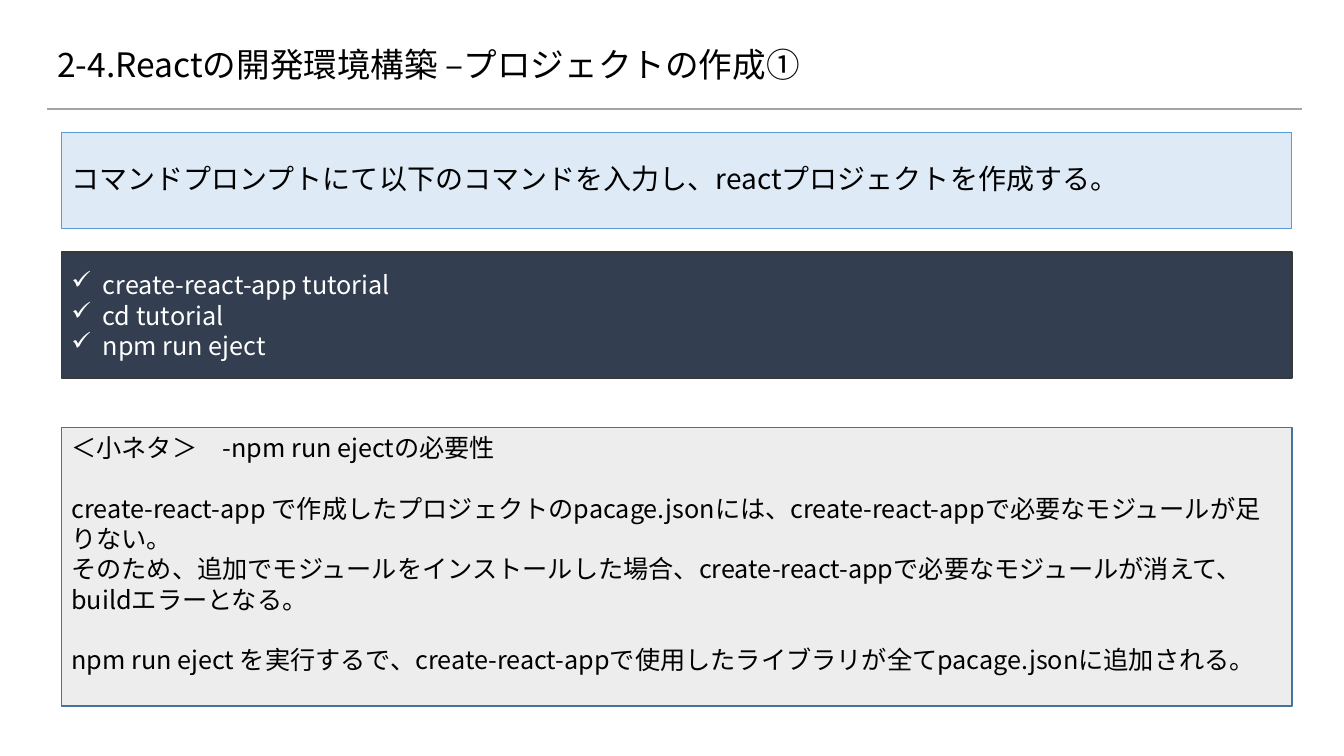
from dataclasses import dataclass

from lxml.etree import SubElement
from pptx import Presentation
from pptx.dml.color import RGBColor as Rgb
from pptx.enum.shapes import MSO_CONNECTOR as Link, MSO_SHAPE as Kind
from pptx.enum.text import MSO_ANCHOR as Anchor, MSO_AUTO_SIZE as Fit, PP_ALIGN as Align
from pptx.oxml.ns import qn
from pptx.util import Cm, Pt


@dataclass(frozen=True)
class Theme:
    """Colours, font and type sizes of the slide."""
    font: str = "Noto Sans CJK JP"
    ink: str = "000000"
    white: str = "FFFFFF"
    rule: str = "A5A5A5"
    lead: tuple = ("DEEBF7", "5B9BD5", 0.75)
    code: tuple = ("333F50", "3B3838", 1)
    note: tuple = ("EDEDED", "43739E", 1)
    head: int = 24
    large: int = 20
    body: int = 18
    gap: float = 21.6


class Page:
    """Draws the elements of one slide in a given theme."""

    def __init__(self, deck, theme):
        self.theme = theme
        self.slide = deck.slides.add_slide(deck.slide_layouts[5])

    def text(self, frame, lines, size, color, anchor, space=None, mark=None, gaps=()):
        frame.word_wrap = True
        frame.auto_size = Fit.NONE
        frame.vertical_anchor = anchor
        for i, line in enumerate(lines):
            para = frame.paragraphs[0] if i == 0 else frame.add_paragraph()
            para.text = line
            para.alignment = Align.LEFT
            para.space_before = Pt(self.theme.gap if i in gaps else 0)
            if space:
                para.line_spacing = space
            if mark:
                self.bullet(para, mark, color)
            font = para.font
            font.size, font.name = Pt(size), self.theme.font
            font.color.rgb = Rgb.from_string(color)
            base = para._p.pPr.find(qn("a:defRPr"))
            SubElement(base, qn("a:ea"), typeface=self.theme.font)

    def bullet(self, para, mark, color):
        props = para._p.get_or_add_pPr()
        props.set("marL", str(Cm(0.79)))
        props.set("indent", str(-Cm(0.79)))
        tint = SubElement(props, qn("a:buClr"))
        SubElement(tint, qn("a:srgbClr"), val=color)
        SubElement(props, qn("a:buChar"), char=mark)

    def title(self, text):
        head = self.slide.shapes.title
        head.left, head.top = Cm(1.19), Cm(0.94)
        head.width, head.height = Cm(29.21), Cm(1.5)
        self.text(head.text_frame, [text], self.theme.head, self.theme.ink,
                  Anchor.MIDDLE, space=0.9)

    def rule(self, left, right, top):
        line = self.slide.shapes.add_connector(
            Link.STRAIGHT, Cm(left), Cm(top), Cm(right), Cm(top))
        line.line.color.rgb = Rgb.from_string(self.theme.rule)
        line.line.width = Pt(1.5)
        SubElement(line._element.spPr, qn("a:effectLst"))

    def panel(self, top, height, look, lines, size, color, anchor, **style):
        fill, edge, width = look
        box = self.slide.shapes.add_shape(
            Kind.RECTANGLE, Cm(1.55), Cm(top), Cm(31.01), Cm(height))
        box.shadow.inherit = False
        box.fill.solid()
        box.fill.fore_color.rgb = Rgb.from_string(fill)
        box.line.color.rgb = Rgb.from_string(edge)
        box.line.width = Pt(width)
        self.text(box.text_frame, lines, size, color, anchor, **style)


def main():
    deck = Presentation()
    deck.slide_width, deck.slide_height = Cm(33.87), Cm(19.05)
    theme = Theme()
    page = Page(deck, theme)
    page.title("2-4.Reactの開発環境構築 –プロジェクトの作成①")
    page.rule(1.19, 32.82, 2.74)
    page.panel(3.34, 2.42, theme.lead, [
        "コマンドプロンプトにて以下のコマンドを入力し、reactプロジェクトを作成する。",
    ], theme.large, theme.ink, Anchor.MIDDLE, space=0.9)
    page.panel(6.35, 3.18, theme.code, [
        "create-react-app tutorial",
        "cd tutorial",
        "npm run eject",
    ], theme.body, theme.white, Anchor.MIDDLE, mark="✓")
    page.panel(10.78, 7.01, theme.note, [
        "＜小ネタ＞　-npm run ejectの必要性",
        "create-react-app で作成したプロジェクトのpacage.jsonには、"
        "create-react-appで必要なモジュールが足りない。",
        "そのため、追加でモジュールをインストールした場合、"
        "create-react-appで必要なモジュールが消えて、buildエラーとなる。",
        "npm run eject を実行するで、"
        "create-react-appで使用したライブラリが全てpacage.jsonに追加される。",
    ], theme.body, theme.ink, Anchor.TOP, gaps=(1, 3))
    deck.save("out.pptx")


if __name__ == "__main__":
    main()
